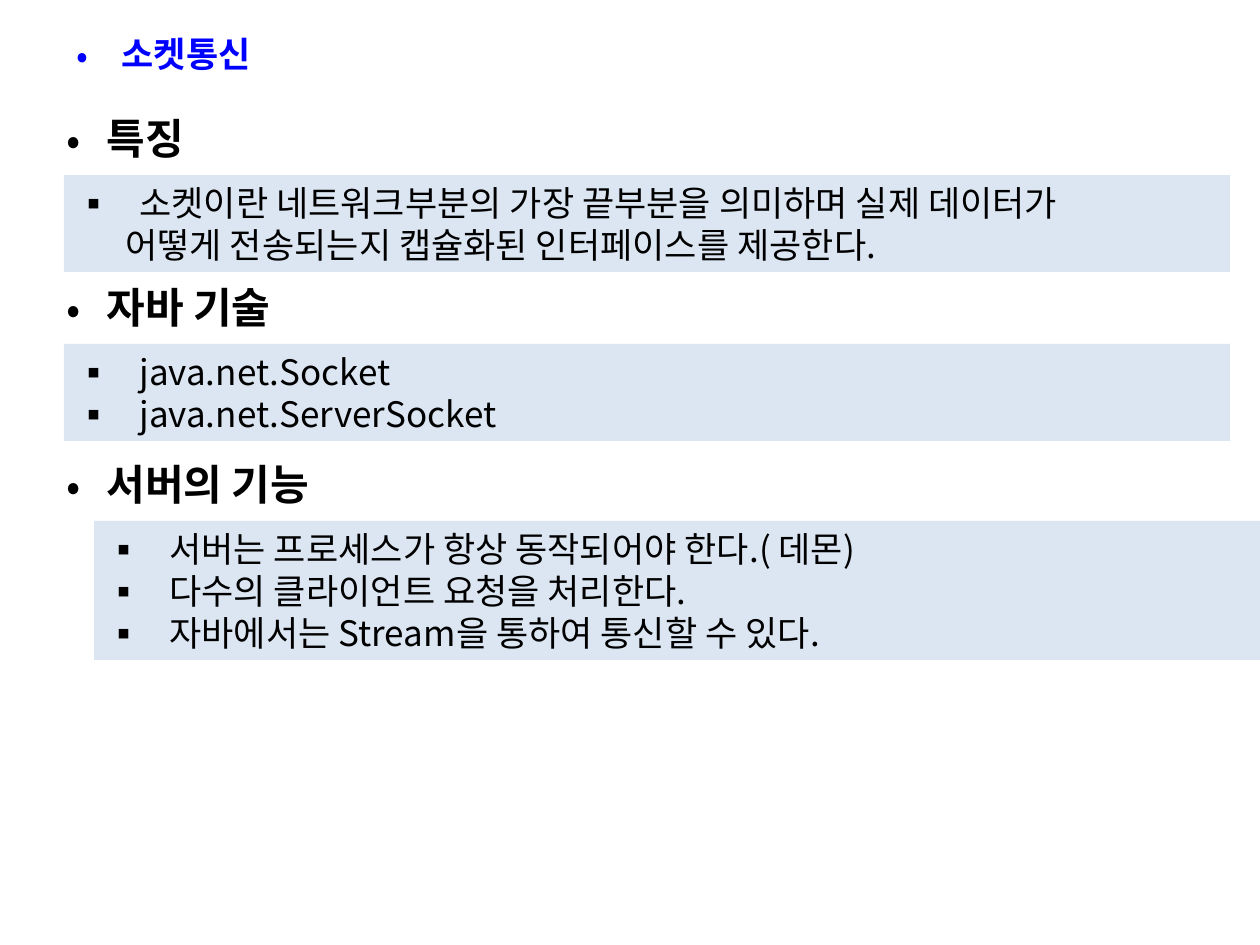
from pptx import Presentation
from pptx.dml.color import RGBColor
from pptx.enum.shapes import MSO_CONNECTOR, MSO_SHAPE
from pptx.enum.text import MSO_ANCHOR, MSO_AUTO_SIZE, PP_ALIGN
from pptx.oxml.ns import qn
from pptx.util import Emu, Pt
from lxml.etree import SubElement

PX = 914400 // 126
FONT = "Noto Sans CJK KR"
COLORS = {"title": "0000FF", "text": "000000", "band": "DCE6F2", "rule": "FFFFFF"}
TITLE = "소켓통신"
# heading, top of heading, left of band, lines as (text, bullet)
PARTS = [
    ("특징", 106, 64, [
        ("소켓이란 네트워크부분의 가장 끝부분을 의미하며 실제 데이터가", "▪"),
        ("어떻게 전송되는지 캡슐화된 인터페이스를 제공한다.", None)]),
    ("자바 기술", 275, 64, [
        ("java.net.Socket", "▪"),
        ("java.net.ServerSocket", "▪")]),
    ("서버의 기능", 452, 94, [
        ("서버는 프로세스가 항상 동작되어야 한다.( 데몬)", "▪"),
        ("다수의 클라이언트 요청을 처리한다.", "▪"),
        ("자바에서는 Stream을 통하여 통신할 수 있다.", "▪")]),
]
HEAD_X, HEAD_W, HEAD_H = 54, 1081, 63
BAND_W, BAND_GAP, LINE_H, PAD = 1166, 69, 42, 13
HANG, PLAIN = 63, 49


def px(*nums):
    return [Emu(n * PX) for n in nums]


def rgb(name):
    return RGBColor.from_string(COLORS[name])


def write(shape, lines, size=20, color="text", bold=False, hang=HANG):
    frame = shape.text_frame
    frame.word_wrap = True
    frame.auto_size = MSO_AUTO_SIZE.NONE
    frame.vertical_anchor = MSO_ANCHOR.TOP
    for i, (text, mark) in enumerate(lines):
        para = frame.paragraphs[0] if i == 0 else frame.add_paragraph()
        para.alignment = PP_ALIGN.LEFT
        para.space_before = Pt(0)
        run = para.add_run()
        run.text = text
        font = run.font
        font.size, font.bold, font.name = Pt(size), bold, FONT
        font.color.rgb = rgb(color)
        SubElement(font._element, qn("a:ea")).set("typeface", FONT)
        props = para._p.get_or_add_pPr()
        props.set("marL", str((hang if mark else PLAIN) * PX))
        props.set("indent", str(-hang * PX if mark else 0))
        if mark:
            tint = SubElement(props, qn("a:buClr"))
            SubElement(tint, qn("a:srgbClr")).set("val", COLORS[color])
            SubElement(props, qn("a:buFont")).set("typeface", FONT)
            SubElement(props, qn("a:buChar")).set("char", mark)
        else:
            SubElement(props, qn("a:buNone"))


def main():
    deck = Presentation()
    deck.slide_width, deck.slide_height = px(1260, 945)
    slide = deck.slides.add_slide(deck.slide_layouts[5])
    shapes = slide.shapes

    rule = shapes.add_connector(MSO_CONNECTOR.STRAIGHT, *px(54, 106, 1206, 106))
    rule.line.color.rgb = rgb("rule")
    rule.line.width = Pt(4.5)
    SubElement(rule._element.spPr, qn("a:effectLst"))

    title = shapes.title
    title.left, title.top, title.width, title.height = px(64, 26, 1062, 55)
    write(title, [(TITLE, "•")], color="title", bold=True, hang=45)

    for name, top, left, lines in PARTS:
        high = LINE_H * len(lines) + PAD
        band = shapes.add_shape(MSO_SHAPE.RECTANGLE,
                                *px(left, top + BAND_GAP, BAND_W, high))
        band.shadow.inherit = False
        band.fill.solid()
        band.fill.fore_color.rgb = rgb("band")
        band.line.fill.background()
        write(band, lines)
        head = shapes.add_textbox(*px(HEAD_X, top, HEAD_W, HEAD_H))
        write(head, [(name, "•")], size=24, bold=True, hang=40)

    deck.save("out.pptx")


if __name__ == "__main__":
    main()
